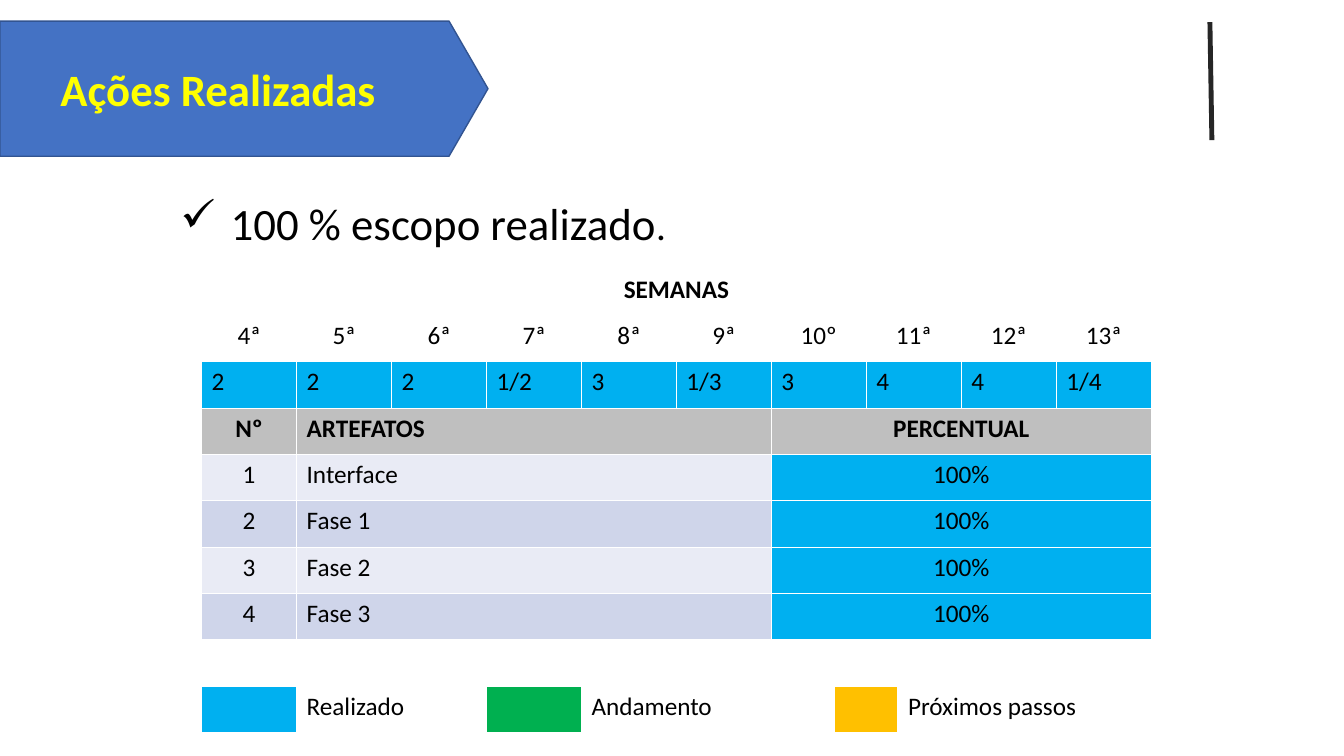
from lxml import etree
from pptx import Presentation
from pptx.dml.color import RGBColor
from pptx.enum import shapes, text
from pptx.oxml.ns import qn
from pptx.util import Inches, Pt

BLUE, GREEN, AMBER, GREY = "00B0F0", "00B050", "FFC000", "BFBFBF"
BANDS = ["E9EBF5", "CFD5EA"]
BLACK, WHITE = "000000", "FFFFFF"

# Content
TITLE = "Ações Realizadas"
SCOPE = [("100 % escopo realizado", 32), (".", 28)]
WEEKS = [("4ª", "2"), ("5ª", "2"), ("6ª", "2"), ("7ª", "1/2"), ("8ª", "3"),
         ("9ª", "1/3"), ("10º", "3"), ("11ª", "4"), ("12ª", "4"), ("13ª", "1/4")]
WEEK_SPANS = [1] * 6 + [2, 2, 1, 1]
ARTEFACTS = [("Interface", "100%"), ("Fase 1", "100%"),
             ("Fase 2", "100%"), ("Fase 3", "100%")]
ARTEFACT_SPANS = (1, 5, 6)
LEGEND = [(BLUE, 1, "Realizado", 2), (GREEN, 1, "Andamento", 3),
          (AMBER, 2, "Próximos passos", 3)]

# Table geometry: ten weeks, two of them split in thirds for the legend
TABLE_LEFT, TABLE_TOP, TABLE_W, TABLE_H = 2, 2.67, 9.42, 4.6
COL_WEEKS = [1] * 6 + [2 / 3, 1 / 3, 1 / 3, 2 / 3, 1, 1]


def rgb(value):
    return RGBColor.from_string(value)


def style(r, size, color=BLACK, bold=False):
    f = r.font
    f.name, f.size, f.bold = "Calibri", Pt(size), bold
    f.color.rgb = rgb(color)


def table_rows():
    """Each row is a list of (text, span, fill, centred, bold)."""
    rows = [[("SEMANAS", len(COL_WEEKS), None, True, True)]]
    rows.append([(w, n, None, True, False) for (w, _), n in zip(WEEKS, WEEK_SPANS)])
    rows.append([(v, n, BLUE, False, False) for (_, v), n in zip(WEEKS, WEEK_SPANS)])
    num, name, share = ARTEFACT_SPANS
    rows.append([("Nº", num, GREY, True, True), ("ARTEFATOS", name, GREY, False, True),
                 ("PERCENTUAL", share, GREY, True, True)])
    for i, (artefact, percent) in enumerate(ARTEFACTS):
        band = BANDS[i % 2]
        rows.append([(str(i + 1), num, band, True, False),
                     (artefact, name, band, False, False),
                     (percent, share, BLUE, True, False)])
    rows.append([("", n, None, False, False) for n in ARTEFACT_SPANS])
    legend = []
    for color, swatch, label, n in LEGEND:
        legend += [("", swatch, color, False, False), (label, n, None, False, False)]
    rows.append(legend)
    return rows


def set_borders(cell):
    tcPr = cell._tc.get_or_add_tcPr()
    for side in ("a:lnL", "a:lnR", "a:lnT", "a:lnB"):
        ln = etree.SubElement(tcPr, qn(side), w=str(Pt(1)))
        fill = etree.SubElement(ln, qn("a:solidFill"))
        etree.SubElement(fill, qn("a:srgbClr"), val=WHITE)


def fill_cell(cell, label, fill, centred, bold):
    if fill:
        cell.fill.solid()
        cell.fill.fore_color.rgb = rgb(fill)
    else:
        cell.fill.background()
    if label:
        cell.text = label
        p = cell.text_frame.paragraphs[0]
        p.alignment = text.PP_ALIGN.CENTER if centred else text.PP_ALIGN.LEFT
        style(p.runs[0], 18, bold=bold)


def add_rule(slide):
    line = slide.shapes.add_connector(shapes.MSO_CONNECTOR.STRAIGHT, Inches(12),
                                      Inches(0.22), Inches(12.02), Inches(1.39))
    line.line.color.rgb = rgb("262626")
    line.line.width = Pt(3.5)
    etree.SubElement(line._element.spPr, qn("a:effectLst"))


def add_scope(slide):
    box = slide.shapes.add_textbox(Inches(1.19), Inches(1.89), Inches(10.99), Inches(0.64))
    tf = box.text_frame
    tf.word_wrap = True
    p = tf.paragraphs[0]
    p.space_after = Pt(6)
    pPr = p._p.get_or_add_pPr()
    pPr.set("marL", str(Inches(1)))
    pPr.set("indent", str(Inches(-0.5)))
    etree.SubElement(pPr, qn("a:buChar"), char="✓")
    for words, size in SCOPE:
        r = p.add_run()
        r.text = words
        style(r, size)


def add_title(slide):
    area = Inches(0), Inches(0.21), Inches(4.84), Inches(1.34)
    arrow = slide.shapes.add_shape(shapes.MSO_SHAPE.RIGHT_ARROW, *area)
    arrow.adjustments[0], arrow.adjustments[1] = 1, 0.288
    arrow.shadow.inherit = False
    arrow.fill.solid()
    arrow.fill.fore_color.rgb = rgb("4472C4")
    arrow.line.color.rgb = rgb("325491")
    arrow.line.width = Pt(1)

    title = slide.shapes.title
    title.left, title.top, title.width, title.height = area
    arrow._element.addnext(title._element)  # title text in front of the arrow
    tf = title.text_frame
    tf.text = TITLE
    tf.margin_left = Inches(0.6)
    tf.word_wrap = True
    tf.auto_size = text.MSO_AUTO_SIZE.NONE
    tf.vertical_anchor = text.MSO_ANCHOR.MIDDLE
    p = tf.paragraphs[0]
    p.alignment = text.PP_ALIGN.LEFT
    style(p.runs[0], 32, "FFFF00", True)


def add_schedule(slide):
    rows = table_rows()
    frame = slide.shapes.add_table(len(rows), len(COL_WEEKS), Inches(TABLE_LEFT),
                                   Inches(TABLE_TOP), Inches(TABLE_W), Inches(TABLE_H))
    table = frame.table
    table.first_row = table.horz_banding = False
    for col, weeks in zip(table.columns, COL_WEEKS):
        col.width = Inches(TABLE_W * weeks / sum(COL_WEEKS))
    for row in table.rows:
        row.height = Inches(TABLE_H / len(rows))
    for cell in table.iter_cells():
        set_borders(cell)
        cell.fill.background()
    for i, row in enumerate(rows):
        j = 0
        for label, n, fill, centred, bold in row:
            cell = table.cell(i, j)
            if n > 1:
                cell.merge(table.cell(i, j + n - 1))
            fill_cell(cell, label, fill, centred, bold)
            j += n


def main():
    prs = Presentation()
    prs.slide_width, prs.slide_height = Inches(13.33), Inches(7.5)
    slide = prs.slides.add_slide(prs.slide_layouts[5])
    add_rule(slide)
    add_scope(slide)
    add_title(slide)
    add_schedule(slide)
    prs.save("out.pptx")


if __name__ == "__main__":
    main()
